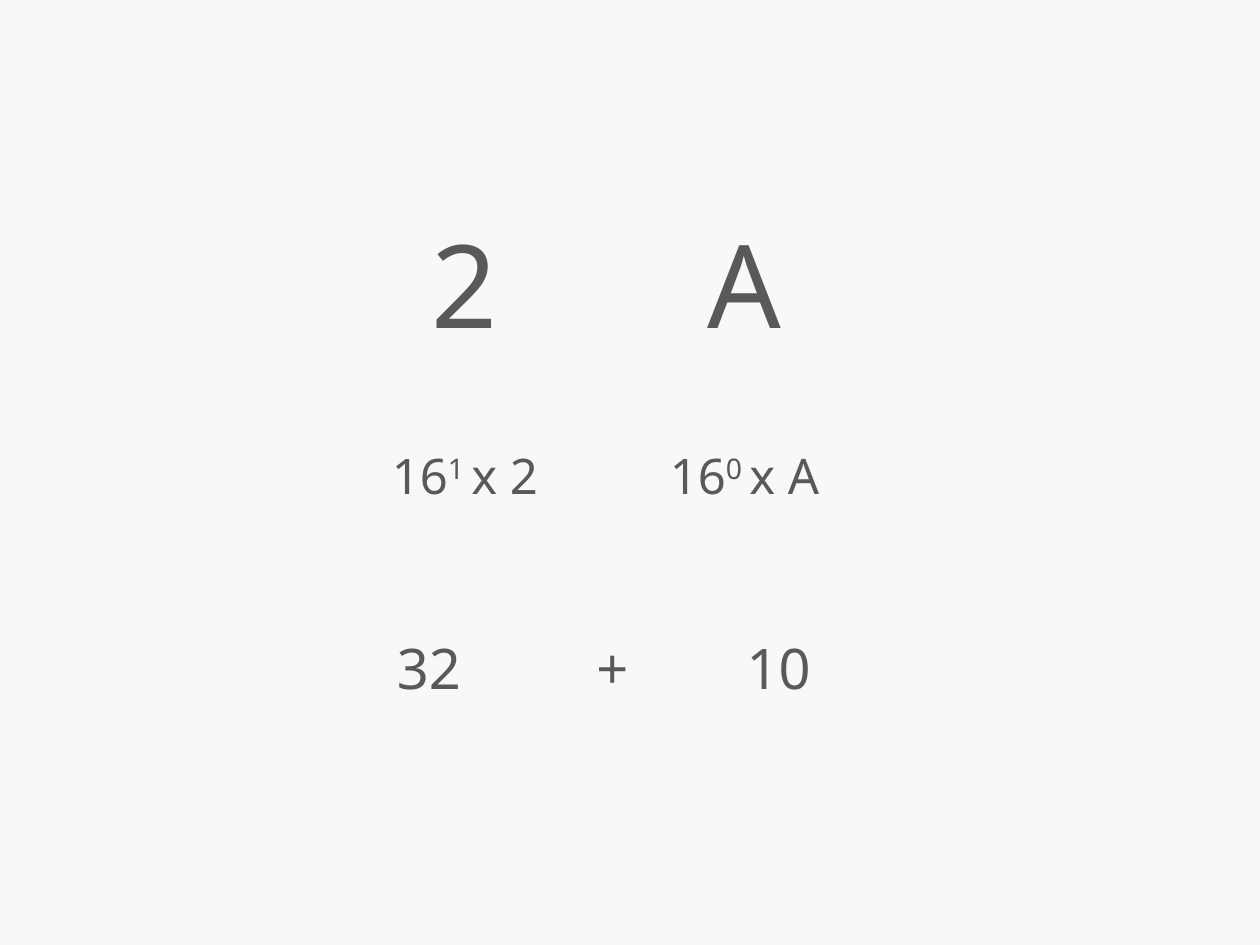
from pptx import Presentation
from pptx.dml.color import RGBColor
from pptx.enum.text import PP_ALIGN as Align
from pptx.oxml.ns import qn
from pptx.util import Inches, Pt
from lxml import etree

THEME = {
    "font": "Noto Sans",
    "background": RGBColor.from_string("F8F8F8"),
    "text": RGBColor.from_string("595959"),
    "digit_size": Pt(66),
    "power_size": Pt(28),
    "sum_size": Pt(32),
}
NO_GRID_STYLE = "{2D5ABB26-0587-4C30-8999-92F81FD0307C}"


def write_cell(cell, parts, size, margin_top=0.05):
    """Fill a cell with (text, superscript percent) parts."""
    cell.fill.background()
    cell.margin_top = Inches(margin_top)
    paragraph = cell.text_frame.paragraphs[0]
    paragraph.alignment = Align.CENTER
    for text, raised in parts:
        run = paragraph.add_run()
        run.text = text
        run.font.name = THEME["font"]
        run.font.size = size
        run.font.color.rgb = THEME["text"]
        if raised:
            run._r.get_or_add_rPr().set("baseline", str(raised * 1000))
    return paragraph


# Slide
presentation = Presentation()
presentation.slide_width, presentation.slide_height = Inches(10), Inches(7.5)
slide = presentation.slides.add_slide(presentation.slide_layouts[6])
slide.background.fill.solid()
slide.background.fill.fore_color.rgb = THEME["background"]

# Plain table without grid
frame = slide.shapes.add_table(3, 2, Inches(2.58), Inches(1.58), Inches(4.44), Inches(4.02))
table = frame.table
table.first_row = table.horz_banding = False
table._tbl.tblPr.find(qn("a:tableStyleId")).text = NO_GRID_STYLE
for row, height in zip(table.rows, (1.35, 1.16, 1.51)):
    row.height = Inches(height)

# Hexadecimal digits and their place values
for column, (digit, exponent) in enumerate([("2", 1), ("A", 0)]):
    write_cell(table.cell(0, column), [(digit, 0)], THEME["digit_size"])
    powers = [("16", 0), (f"{exponent} ", 30), (f"x {digit}", 0)]
    write_cell(table.cell(1, column), powers, THEME["power_size"], 0.58)

# Decimal sum across both columns, spaced by centred tab stops
sum_cell = table.cell(2, 0)
sum_cell.merge(table.cell(2, 1))
sum_paragraph = write_cell(sum_cell, [("32\t+\t10", 0)], THEME["sum_size"], 0.91)
sum_paragraph.alignment = Align.LEFT
sum_cell.margin_left = Inches(0.57)
sum_cell.margin_bottom = 0
tab_list = etree.SubElement(sum_paragraph._p.get_or_add_pPr(), qn("a:tabLst"))
for position in (1.71, 3.03):
    etree.SubElement(tab_list, qn("a:tab"), pos=str(Inches(position)), algn="ctr")

presentation.save("out.pptx")
